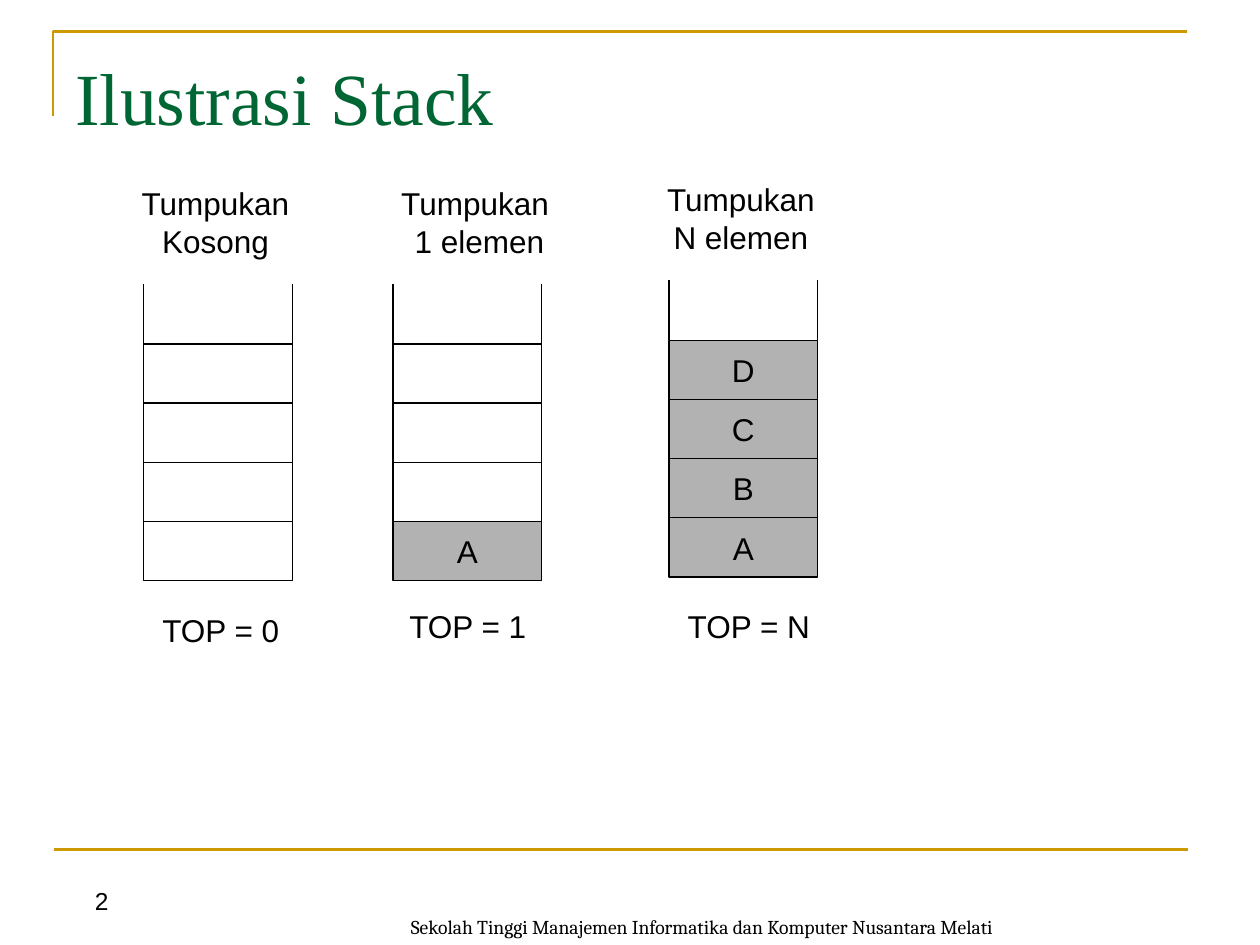
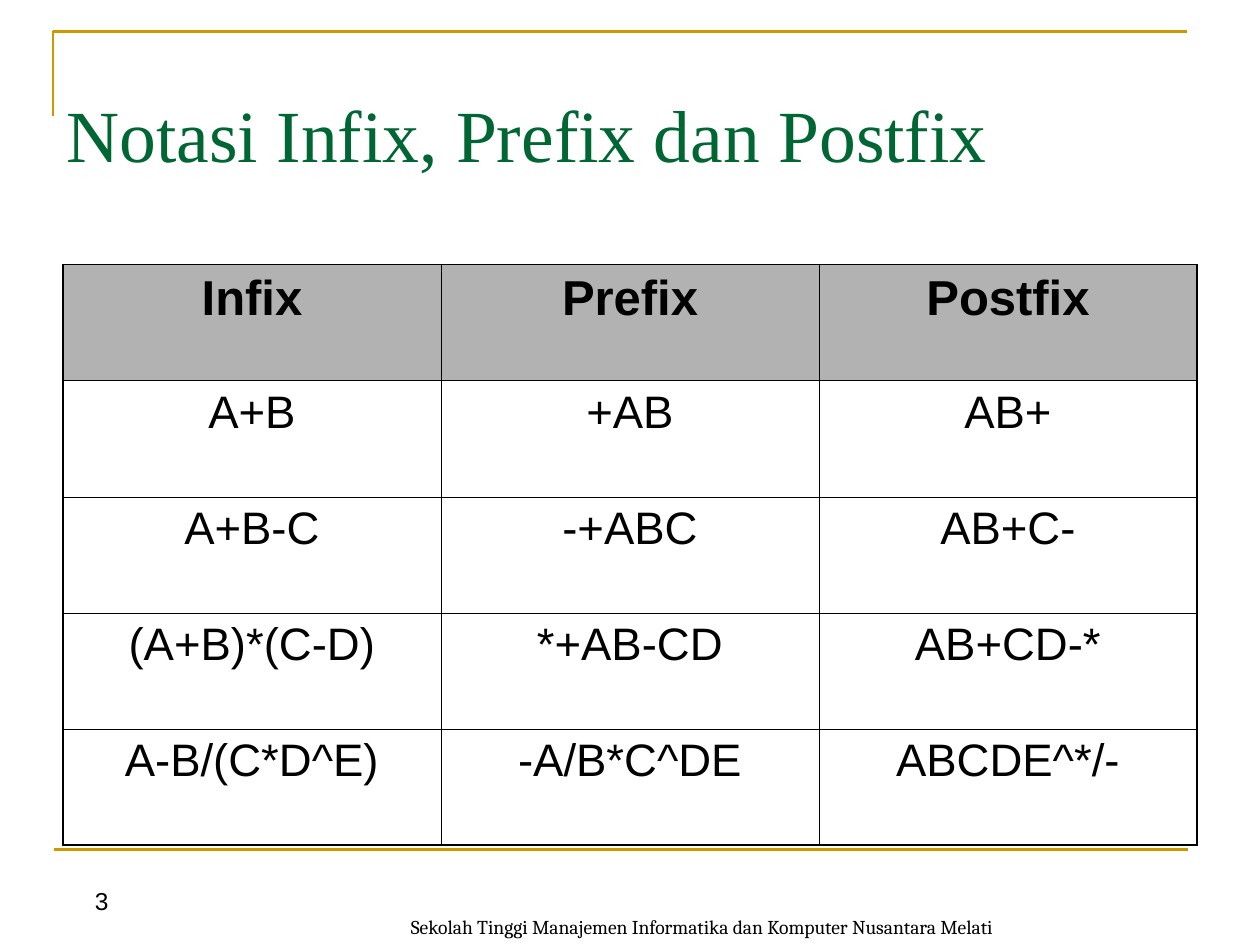
from pptx import Presentation
from pptx.dml.color import RGBColor
from pptx.enum.shapes import MSO_CONNECTOR as Connector, MSO_SHAPE as Shape
from pptx.enum.text import MSO_ANCHOR as Anchor, MSO_AUTO_SIZE as AutoSize, PP_ALIGN as Align
from pptx.util import Inches, Pt
from lxml.etree import SubElement
from pptx.oxml.ns import qn

BLACK = RGBColor(0x00, 0x00, 0x00)
GREY = RGBColor(0xB2, 0xB2, 0xB2)
GOLD = RGBColor(0xCC, 0x99, 0x00)
GREEN = RGBColor(0x00, 0x66, 0x33)

FOOTER = "Sekolah Tinggi Manajemen Informatika dan Komputer Nusantara Melati"
CELL_WIDTH, CELL_HEIGHT = 1.18, 0.47
STACK_SIZE = 4
THIN, THICK = 0.45, 1.08


def write_text(frame, text, size=18, font="Arial", color=BLACK, bold=False,
               align=Align.LEFT, anchor=Anchor.TOP, wrap=True,
               line_spacing=None, space_before=None):
    """Fill a text frame, one paragraph for each line of text."""
    frame.word_wrap = wrap
    frame.vertical_anchor = anchor
    for index, line in enumerate(text.split("\n")):
        paragraph = frame.add_paragraph() if index else frame.paragraphs[0]
        paragraph.alignment = align
        if line_spacing:
            paragraph.line_spacing = line_spacing
        if space_before:
            paragraph.space_before = Pt(space_before)
        run = paragraph.add_run()
        run.text = line
        run.font.name, run.font.size, run.font.bold = font, Pt(size), bold
        run.font.color.rgb = color


def set_borders(cell, **widths):
    """Draw black cell borders; keywords L, R, T and B give widths in points."""
    properties = cell._tc.get_or_add_tcPr()
    for side in "LRTB":
        line = SubElement(properties, qn("a:ln" + side), w=str(Pt(widths[side])))
        fill = SubElement(line, qn("a:solidFill"))
        SubElement(fill, qn("a:srgbClr"), val=str(BLACK))


class Deck:
    """Holds the presentation, its shared style and the current slide."""

    def __init__(self):
        """Start an empty 10 by 7.5 inch presentation."""
        self.presentation = Presentation()
        self.presentation.slide_width = Inches(10)
        self.presentation.slide_height = Inches(7.5)
        self.shapes = None

    def add_slide(self, number, title, left, top, height):
        """Add a slide with frame lines, footer, page number and title."""
        layout = self.presentation.slide_layouts[6]
        self.shapes = self.presentation.slides.add_slide(layout).shapes
        self.corner(0.42, 0.25, 9.42, 0.92)
        self.line(0.43, 6.74, 9.43, 6.74, color=GOLD, width=1.5)
        self.text(FOOTER, 2.73, 7, 5.68, 0.5, size=11.2, font="Cambria",
                  align=Align.CENTER, anchor=Anchor.BOTTOM, line_spacing=0.8)
        self.text(str(number), 0, 6.98, 0.96, 0.52, size=14, align=Align.RIGHT)
        heading = self.text(title, left, top, 9, height, size=42,
                            font="Times New Roman", color=GREEN)
        heading.text_frame.margin_top = Inches(0.11)

    def corner(self, left, top, right, bottom):
        """Draw the open gold outline along the left and top edges."""
        builder = self.shapes.build_freeform(Inches(left), Inches(bottom))
        builder.add_line_segments([(Inches(left), Inches(top)),
                                   (Inches(right), Inches(top))], close=False)
        self.style(builder.convert_to_shape(), GOLD, 1.5)

    def style(self, shape, color, width, fill=None):
        """Set the outline and fill of a shape and drop its shadow."""
        shape.shadow.inherit = False
        shape.line.color.rgb = color
        shape.line.width = Pt(width)
        if fill is None:
            shape.fill.background()
        else:
            shape.fill.solid()
            shape.fill.fore_color.rgb = fill

    def line(self, x1, y1, x2, y2, color=BLACK, width=0.74):
        """Draw a straight line without shadow."""
        line = self.shapes.add_connector(Connector.STRAIGHT, Inches(x1), Inches(y1),
                                         Inches(x2), Inches(y2))
        line.line.color.rgb = color
        line.line.width = Pt(width)
        SubElement(line._element.spPr, qn("a:effectLst"))

    def text(self, text, left, top, width, height, **text_format):
        """Add a text box."""
        box = self.shapes.add_textbox(Inches(left), Inches(top),
                                      Inches(width), Inches(height))
        write_text(box.text_frame, text, **text_format)
        return box

    def label(self, text, left, top, width, height, align=Align.LEFT):
        """Add an unwrapped text box that fits its text."""
        box = self.text(text, left, top, width, height, wrap=False, align=align)
        box.text_frame.auto_size = AutoSize.SHAPE_TO_FIT_TEXT

    def stack(self, left, bottom, items):
        """Draw a stack open at the top, with items listed from the bottom up."""
        for level in range(STACK_SIZE):
            top = bottom - (level + 1) * CELL_HEIGHT
            cell = self.shapes.add_shape(Shape.RECTANGLE, Inches(left), Inches(top),
                                         Inches(CELL_WIDTH), Inches(CELL_HEIGHT))
            filled = level < len(items)
            self.style(cell, BLACK, 0.74, GREY if filled else None)
            if filled:
                write_text(cell.text_frame, items[level], wrap=False,
                           align=Align.CENTER, anchor=Anchor.MIDDLE)
        for x in (left, left + CELL_WIDTH):
            self.line(x, top, x, top - 0.48)

    def table(self, rows, left, top, width, height):
        """Add a table with a grey header row and a thicker outer border."""
        last_row, last_column = len(rows) - 1, len(rows[0]) - 1
        table = self.shapes.add_table(len(rows), len(rows[0]), Inches(left), Inches(top),
                                      Inches(width), Inches(height)).table
        table.first_row = table.horz_banding = False
        for r, row in enumerate(rows):
            header = r == 0
            for c, value in enumerate(row):
                cell = table.cell(r, c)
                set_borders(cell, L=THIN if c else THICK, T=THIN if r else THICK,
                            R=THICK if c == last_column else THIN,
                            B=THICK if r == last_row else THIN)
                if header:
                    cell.fill.solid()
                    cell.fill.fore_color.rgb = GREY
                else:
                    cell.fill.background()
                write_text(cell.text_frame, value, size=28 if header else 26,
                           bold=header, align=Align.CENTER,
                           space_before=7 if header else 6.5)


def stack_slide(deck):
    """Show an empty stack, one with one element and one with N."""
    deck.add_slide(2, "Ilustrasi Stack", 0.5, 0.3, 0.85)
    # stack left, stack bottom, items, caption, caption left and width,
    # counter, counter left, top and width
    stacks = [
        (1.14, 4.61, "", "Tumpukan\nKosong", 1.02, 1.38, "TOP = 0", 1.19, 4.8, 1.14),
        (3.12, 4.61, "A", "Tumpukan \n1 elemen", 3.08, 1.45, "TOP = 1", 3.15, 4.77, 1.14),
        (5.31, 4.58, "ABCD", "Tumpukan\nN elemen", 5.19, 1.38, "TOP = N", 5.36, 4.77, 1.18),
    ]
    for (left, bottom, items, caption, caption_left, caption_width,
         counter, counter_left, counter_top, counter_width) in stacks:
        deck.stack(left, bottom, items)
        deck.label(caption, caption_left, bottom - 3.2, caption_width, 0.7, Align.CENTER)
        deck.label(counter, counter_left, counter_top, counter_width, 0.4)


def notation_slide(deck):
    """Compare the three notations in a table."""
    deck.add_slide(3, "Notasi Infix, Prefix dan Postfix", 0.43, 0.6, 1.25)
    deck.table([
        ("Infix", "Prefix", "Postfix"),
        ("A+B", "+AB", "AB+"),
        ("A+B-C", "-+ABC", "AB+C-"),
        ("(A+B)*(C-D)", "*+AB-CD", "AB+CD-*"),
        ("A-B/(C*D^E)", "-A/B*C^DE", "ABCDE^*/-"),
    ], 0.5, 2.1, 9, 4.61)


deck = Deck()
stack_slide(deck)
notation_slide(deck)
deck.presentation.save("out.pptx")
